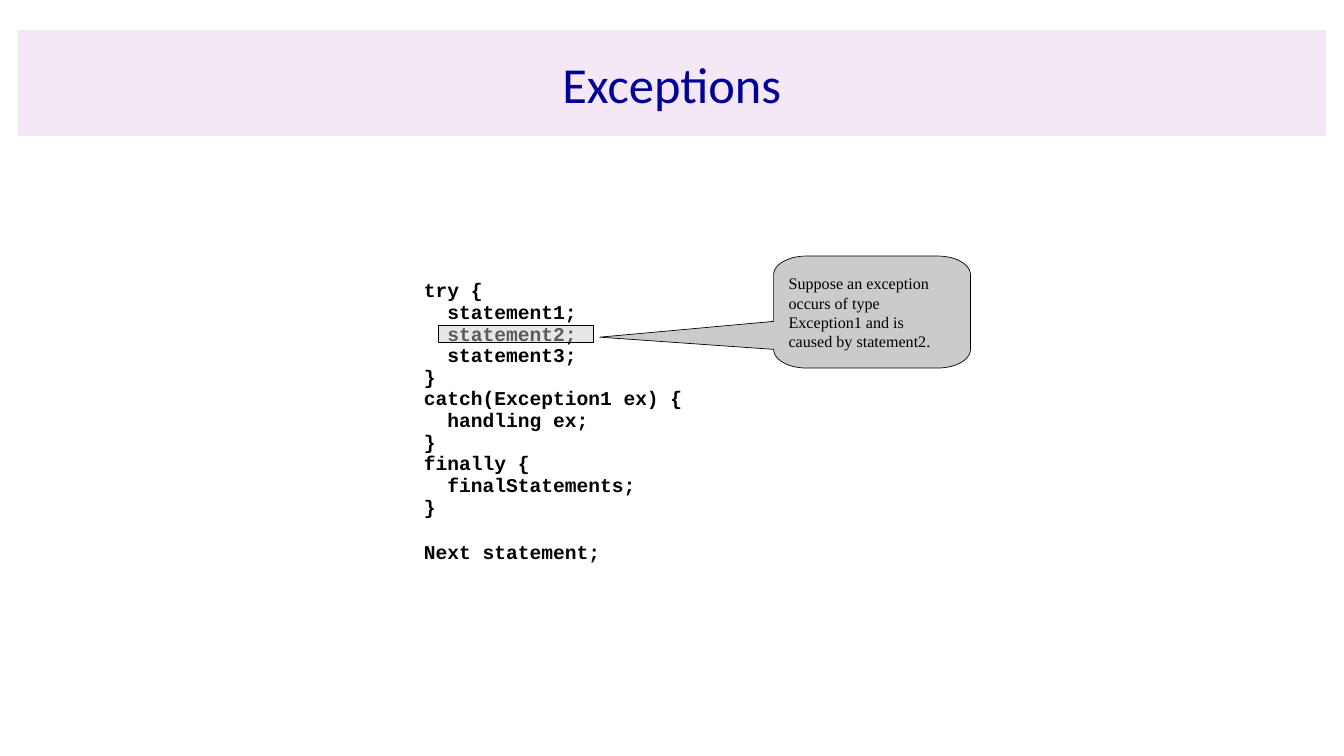
from math import cos, sin, radians
from lxml.etree import SubElement
from pptx import Presentation
from pptx.dml.color import RGBColor
from pptx.enum.shapes import MSO_SHAPE as SHAPE
from pptx.enum.text import MSO_ANCHOR as ANCHOR, MSO_AUTO_SIZE as AUTO, PP_ALIGN as ALIGN
from pptx.oxml.ns import qn
from pptx.util import Pt


def paint(sp, color, alpha=100, line=None):
    sp.fill.solid()
    sp.fill.fore_color.rgb = RGBColor.from_string(color)
    if alpha < 100:
        clr = sp.fill._xPr.find(qn("a:solidFill"))[0]
        SubElement(clr, qn("a:alpha"), val=str(alpha * 1000))
    if line:
        sp.line.color.rgb = RGBColor.from_string(line)
        sp.line.width = Pt(1)
    else:
        sp.line.fill.background()


def style(p, name, size, color, bold=False):
    for r in p.runs:
        r.font.name, r.font.size, r.font.bold = name, Pt(size), bold
        r.font.color.rgb = RGBColor.from_string(color)


prs = Presentation()
prs.slide_width, prs.slide_height = Pt(1920), Pt(1080)
s = prs.slides.add_slide(prs.slide_layouts[1])
title, body = s.placeholders

# Title band
title.left, title.top, title.width, title.height = Pt(25.2), Pt(43.2), Pt(1869), Pt(151.2)
paint(title, "DBB5E7", alpha=30)
tf = title.text_frame
tf.text = "Exceptions"
tf.auto_size = AUTO.NONE
tf.vertical_anchor = ANCHOR.MIDDLE
tf.margin_left = tf.margin_top = tf.margin_right = tf.margin_bottom = Pt(7.2)
tf.paragraphs[0].alignment = ALIGN.CENTER
style(tf.paragraphs[0], "Calibri", 72, "000099")

# Code listing
code = """try {
  statement1;
  statement2;
  statement3;
}
catch(Exception1 ex) {
  handling ex;
}
finally {
  finalStatements;
}
Next statement;"""
body.left, body.top, body.width, body.height = Pt(602), Pt(400.3), Pt(450), Pt(398)
tf = body.text_frame
tf.text = code
tf.auto_size = AUTO.NONE
tf.vertical_anchor = ANCHOR.TOP
tf.margin_left = tf.margin_top = tf.margin_right = tf.margin_bottom = Pt(3.6)
for p in tf.paragraphs:
    pPr = p._p.get_or_add_pPr()
    pPr.set("marL", str(Pt(27)))
    pPr.set("indent", str(-Pt(27)))
    SubElement(pPr, qn("a:buNone"))
    p.line_spacing = 0.8
    p.space_before = Pt(4)
    style(p, "Courier New", 28, "000000", bold=True)
tf.paragraphs[0].space_before = Pt(0)
tf.paragraphs[-1].space_before = Pt(37.5)

# Highlight over statement2
sp = s.shapes.add_shape(SHAPE.RECTANGLE, Pt(626.4), Pt(465.1), Pt(221.8), Pt(23.8))
sp.shadow.inherit = False
paint(sp, "CBCBCB", alpha=45, line="000000")

# Callout: corners are quarter ellipses, the tail leaves the left side
left, top, right, bottom = 1105.2, 365.8, 1386.4, 525.8
rx, ry = (right - left) / 6, (bottom - top) / 6
corners = [(left + rx, top + ry, 270), (left + rx, bottom - ry, 180),
           (right - rx, bottom - ry, 90), (right - rx, top + ry, 0)]
points = []
for cx, cy, start in corners:
    for deg in range(start, start - 91, -6):
        points.append((cx + rx * sin(radians(deg + 90)), cy - ry * cos(radians(deg + 90))))
    if start == 270:
        points += [(left, top + 3.5 * ry), (856.8, 481.7), (left, bottom - ry)]

callout = s.shapes.add_group_shape()
fb = callout.shapes.build_freeform(round(points[0][0] * 100), round(points[0][1] * 100), scale=Pt(1) / 100)
fb.add_line_segments([(round(x * 100), round(y * 100)) for x, y in points[1:]], close=True)
sp = fb.convert_to_shape()
sp.shadow.inherit = False
paint(sp, "CBCBCB", line="000000")

# Callout text
sp = callout.shapes.add_textbox(Pt(1123), Pt(387.4), Pt(225.4), Pt(130))
tf = sp.text_frame
tf.word_wrap = True
tf.margin_left = tf.margin_top = tf.margin_right = tf.margin_bottom = Pt(3.6)
tf.text = "Suppose an exception occurs of type Exception1 and is caused by statement2."
tf.paragraphs[0].line_spacing = 1.0
style(tf.paragraphs[0], "Times New Roman", 23, "000000")

prs.save("out.pptx")
